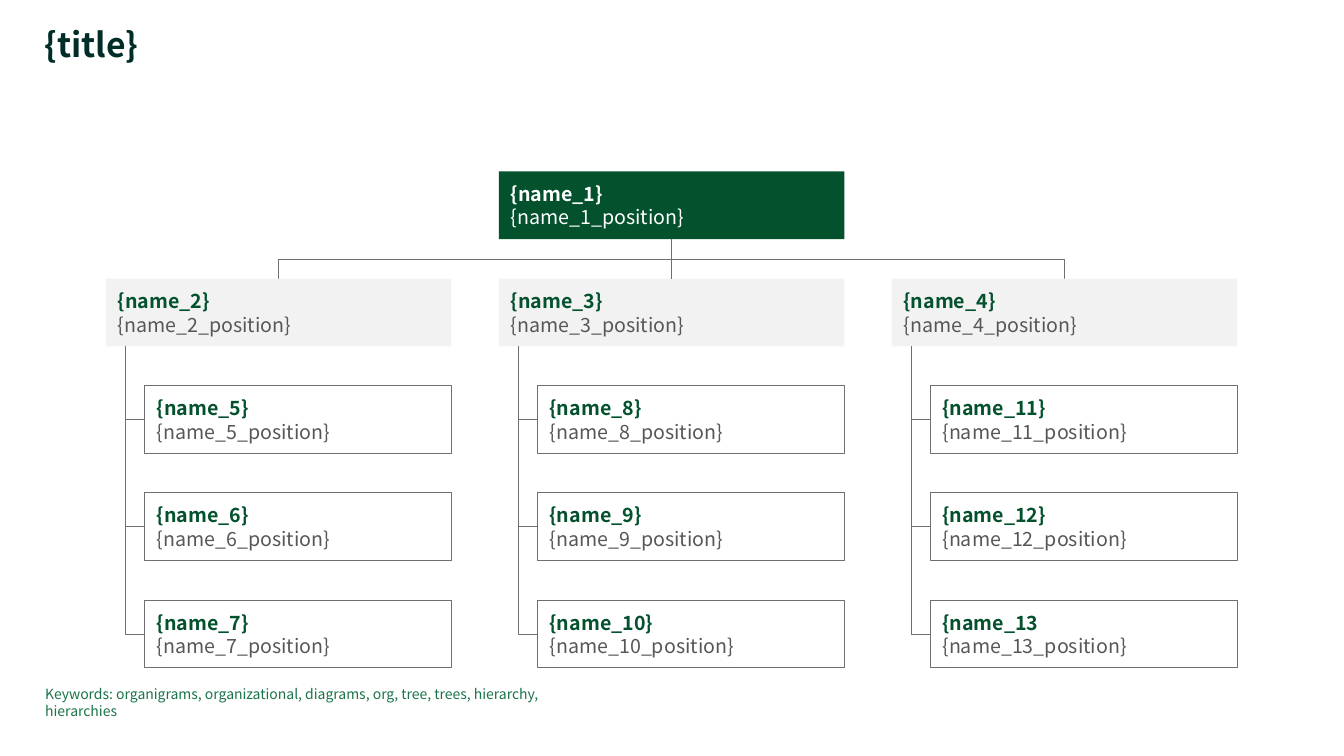
import pptx
import pptx.dml.color
import pptx.enum.shapes
import pptx.enum.text
import pptx.oxml.ns
import pptx.util
from lxml import etree

Cm = pptx.util.Cm
Pt = pptx.util.Pt
Color = pptx.dml.color.RGBColor
Anchor = pptx.enum.text.MSO_ANCHOR
Line = pptx.enum.shapes.MSO_CONNECTOR
qn = pptx.oxml.ns.qn

INK = Color(0x00, 0x2D, 0x28)
GREEN = Color(0x03, 0x52, 0x2D)
LEAF = Color(0x1A, 0x74, 0x49)
TEXT = Color(0x57, 0x57, 0x57)
RULE = Color(0x6E, 0x6F, 0x73)
PALE = Color(0xF2, 0xF2, 0xF2)
WHITE = Color(0xFF, 0xFF, 0xFF)

LEFT, TOP = 2.67, 4.32
STEP, ROW = 9.9, 2.7
WIDE, HIGH = 8.71, 1.71
INDENT, SPINE = 0.98, 0.5


class Chart:
    font = "Noto Sans CJK JP"

    def __init__(self, slide):
        self.shapes = slide.shapes

    def style(self, run, size, color, bold=False):
        run.font.name = self.font
        run.font.size = Pt(size)
        run.font.color.rgb = color
        run.font.bold = bold

    def label(self, text, x, y, w, h, size, color, bold=False):
        box = self.shapes.add_textbox(Cm(x), Cm(y), Cm(w), Cm(h))
        frame = box.text_frame
        frame.word_wrap = True
        frame.margin_left = frame.margin_right = 0
        frame.margin_top = frame.margin_bottom = 0
        frame.text = text
        self.style(frame.paragraphs[0].runs[0], size, color, bold)
        return frame.paragraphs[0]

    def card(self, name, role, x, y, w, fill, head=GREEN, body=TEXT, edge=None):
        box = self.shapes.add_shape(
            pptx.enum.shapes.MSO_SHAPE.RECTANGLE, Cm(x), Cm(y), Cm(w), Cm(HIGH))
        box.shadow.inherit = False
        box.fill.solid()
        box.fill.fore_color.rgb = fill
        if edge is None:
            box.line.fill.background()
        else:
            box.line.color.rgb = edge
            box.line.width = Pt(0.5)
        frame = box.text_frame
        frame.word_wrap = True
        frame.vertical_anchor = Anchor.MIDDLE
        frame.margin_left = frame.margin_right = Cm(0.3)
        frame.margin_top = frame.margin_bottom = Cm(0.2)
        para = frame.paragraphs[0]
        para.text = f"{name}\v{role}"
        para.alignment = pptx.enum.text.PP_ALIGN.LEFT
        self.style(para.runs[0], 14, head, True)
        self.style(para.runs[1], 14, body)
        for gap in para._p.findall(qn("a:br")):
            etree.SubElement(gap, qn("a:rPr")).set("sz", "1400")
        return box

    def link(self, kind, x, y, w, h):
        line = self.shapes.add_connector(kind, Cm(x), Cm(y), Cm(x + w), Cm(y + h))
        line.line.color.rgb = RULE
        line.line.width = Pt(0.5)
        etree.SubElement(line._element.spPr, qn("a:effectLst"))
        return line

    def bend(self, shape, x, y, w, h, turn, flip=False):
        """Draw an elbow in the given frame, before its turn in degrees."""
        props = self.link(Line.ELBOW, x, y, w, h)._element.spPr
        props.find(qn("a:prstGeom")).set("prst", shape)
        frame = props.find(qn("a:xfrm"))
        frame.set("rot", str(turn * 60000))
        if flip:
            frame.set("flipH", "1")

    def fork(self, x, y, span, drop, turn, flip=False):
        """Run down, across and down within span by drop from corner x, y."""
        shift = (span - drop) / 2
        self.bend("bentConnector3", x + shift, y - shift, drop, span, turn, flip)


def main():
    deck = pptx.Presentation()
    deck.slide_width, deck.slide_height = Cm(33.87), Cm(19.05)
    chart = Chart(deck.slides.add_slide(deck.slide_layouts[6]))

    title = chart.label("{title}", 1.12, 0.71, 28.02, 0.94, 24, INK, True)
    title.line_spacing = 0.9

    base = TOP + HIGH
    drop = ROW - HIGH
    mid = LEFT + STEP + WIDE / 2
    chart.fork(mid - STEP, base, STEP, drop, 90)
    chart.fork(mid, base, STEP, drop, 270, True)
    boss = chart.card("{name_1}", "{name_1_position}", LEFT + STEP, TOP, WIDE,
                      GREEN, WHITE, WHITE)

    for col in range(3):
        x, y = LEFT + col * STEP, TOP + ROW
        num = col + 2
        lead = chart.card(f"{{name_{num}}}", f"{{name_{num}_position}}",
                          x, y, WIDE, PALE)
        if col == 1:
            stem = chart.link(Line.STRAIGHT, mid, base, 0, drop)
            stem.begin_connect(boss, 2)
            stem.end_connect(lead, 0)
        for row in range(3):
            num = 5 + col * 3 + row
            name = "{name_13" if num == 13 else f"{{name_{num}}}"
            down = (row + 1) * ROW
            chart.bend("bentConnector2", x + SPINE, y + HIGH,
                       INDENT - SPINE, down - HIGH / 2, 180)
            chart.card(name, f"{{name_{num}_position}}", x + INDENT, y + down,
                       WIDE - INDENT, WHITE, edge=RULE)

    chart.label("Keywords: organigrams, organizational, diagrams, org, tree, "
                "trees, hierarchy, hierarchies", 1.14, 17.27, 13.87, 0.43, 10, LEAF)
    deck.save("out.pptx")


if __name__ == "__main__":
    main()
